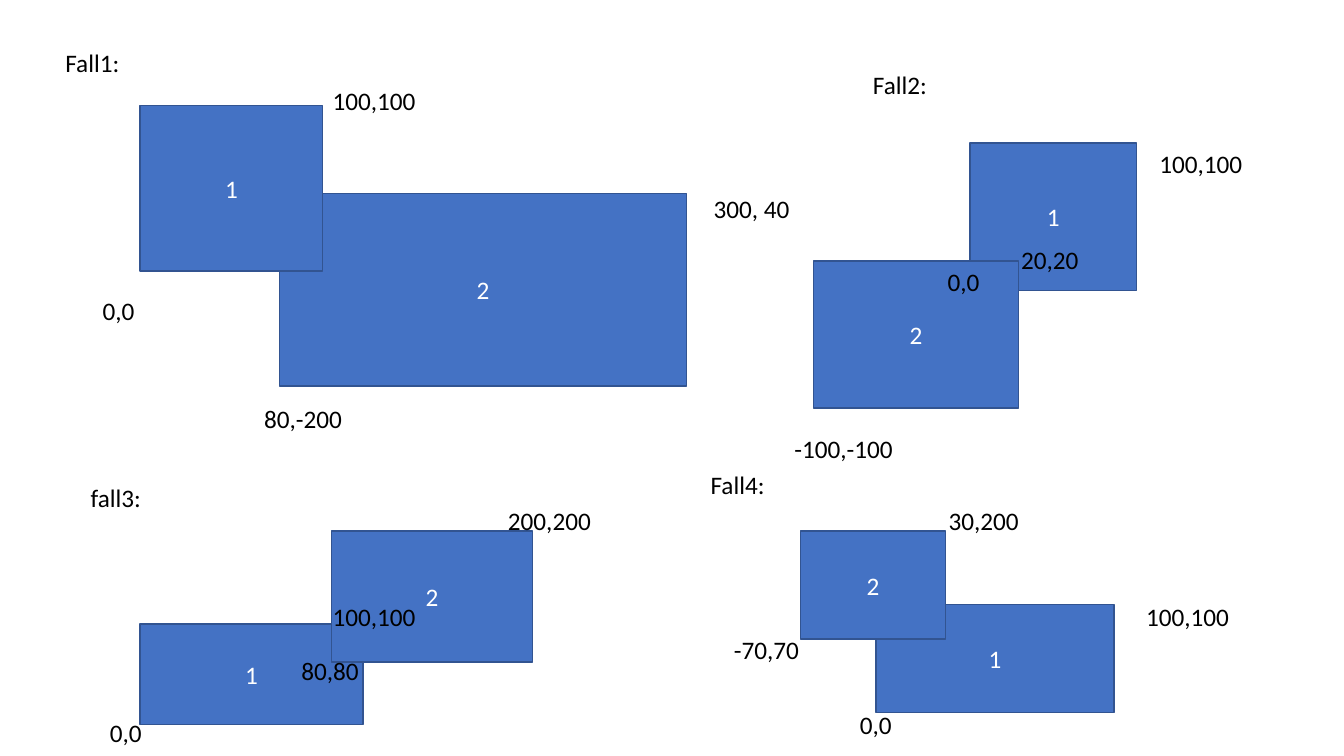
import pptx
import pptx.util
import pptx.dml.color
import pptx.enum.shapes
import pptx.enum.text

Inches = pptx.util.Inches
Align = pptx.enum.text.PP_ALIGN
Anchor = pptx.enum.text.MSO_ANCHOR
Fit = pptx.enum.text.MSO_AUTO_SIZE

# Content: boxes are (text, left, top, width, height), back to front;
# labels are (text, left, top, width)
CASES = [
    {"boxes": [("2", 2.77, 1.92, 4.04, 1.91), ("1", 1.39, 1.05, 1.81, 1.64)],
     "labels": [("Fall1:", 0.55, 0.42, 0.74), ("0,0", 0.92, 2.88, 0.52),
                ("100,100", 3.2, 0.8, 1.03), ("80,-200", 2.52, 3.95, 0.98),
                ("300, 40", 6.98, 1.87, 0.96)]},
    {"boxes": [("1", 9.62, 1.42, 1.65, 1.46), ("2", 8.07, 2.59, 2.03, 1.46)],
     "labels": [("Fall2:", 8.56, 0.64, 0.74), ("100,100", 11.4, 1.42, 1.03),
                ("0,0", 9.3, 2.59, 0.52), ("-100,-100", 7.78, 4.25, 1.19),
                ("20,20", 10.03, 2.37, 0.78)]},
    {"boxes": [("1", 1.39, 6.19, 2.21, 1), ("2", 3.29, 5.27, 1.99, 1.3)],
     "labels": [("fall3:", 0.8, 4.74, 0.71), ("0,0", 0.99, 7.07, 0.52),
                ("100,100", 3.2, 5.92, 1.03), ("80,80", 2.89, 6.45, 0.78),
                ("200,200", 4.94, 4.96, 1.03)]},
    {"boxes": [("1", 8.69, 6, 2.36, 1.07), ("2", 7.94, 5.27, 1.44, 1.07)],
     "labels": [("Fall4:", 6.95, 4.61, 0.74), ("0,0", 8.43, 6.99, 0.52),
                ("100,100", 11.27, 5.92, 1.03), ("-70,70", 7.18, 6.24, 0.85),
                ("30,200", 9.31, 4.96, 0.9)]},
]

# Theme
THEME = {
    "fill": "4472C4", "edge": "325491", "light": "FFFFFF", "dark": "000000",
    "line": pptx.util.Pt(1), "tall": 0.4,
    "font": {"name": "Calibri", "size": pptx.util.Pt(18)},
    "box": {"word_wrap": True, "vertical_anchor": Anchor.MIDDLE},
    "label": {"word_wrap": False, "auto_size": Fit.SHAPE_TO_FIT_TEXT},
}


def tint(name):
    return pptx.dml.color.RGBColor.from_string(THEME[name])


def apply(item, style):
    for key, value in style.items():
        setattr(item, key, value)


def write(shape, text, style, ink, align):
    frame = shape.text_frame
    apply(frame, THEME[style])
    para = frame.paragraphs[0]
    para.alignment = align
    run = para.add_run()
    run.text = text
    apply(run.font, THEME["font"])
    run.font.color.rgb = tint(ink)


def add_box(slide, text, *place):
    kind = pptx.enum.shapes.MSO_SHAPE.RECTANGLE
    box = slide.shapes.add_shape(kind, *map(Inches, place))
    box.shadow.inherit = False
    box.fill.solid()
    box.fill.fore_color.rgb = tint("fill")
    box.line.color.rgb = tint("edge")
    box.line.width = THEME["line"]
    write(box, text, "box", "light", Align.CENTER)


def add_label(slide, text, *place):
    label = slide.shapes.add_textbox(*map(Inches, (*place, THEME["tall"])))
    write(label, text, "label", "dark", Align.LEFT)


def main():
    deck = pptx.Presentation()
    apply(deck, {"slide_width": Inches(13.33), "slide_height": Inches(7.5)})
    slide = deck.slides.add_slide(deck.slide_layouts.get_by_name("Blank"))

    # Each case: overlapping boxes, then its heading and corner points
    for case in CASES:
        for box in case["boxes"]:
            add_box(slide, *box)
        for label in case["labels"]:
            add_label(slide, *label)

    deck.save("out.pptx")


if __name__ == "__main__":
    main()
